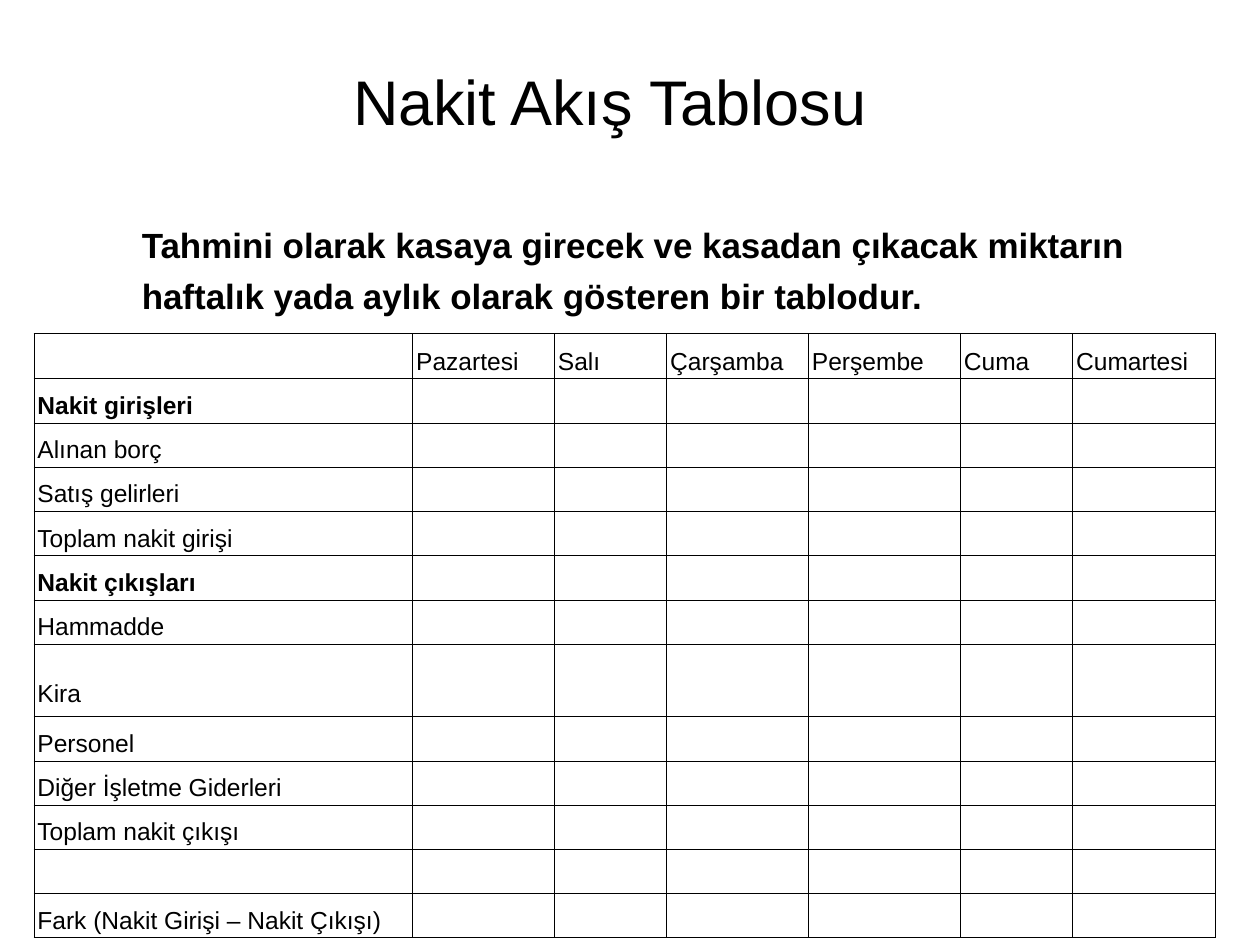
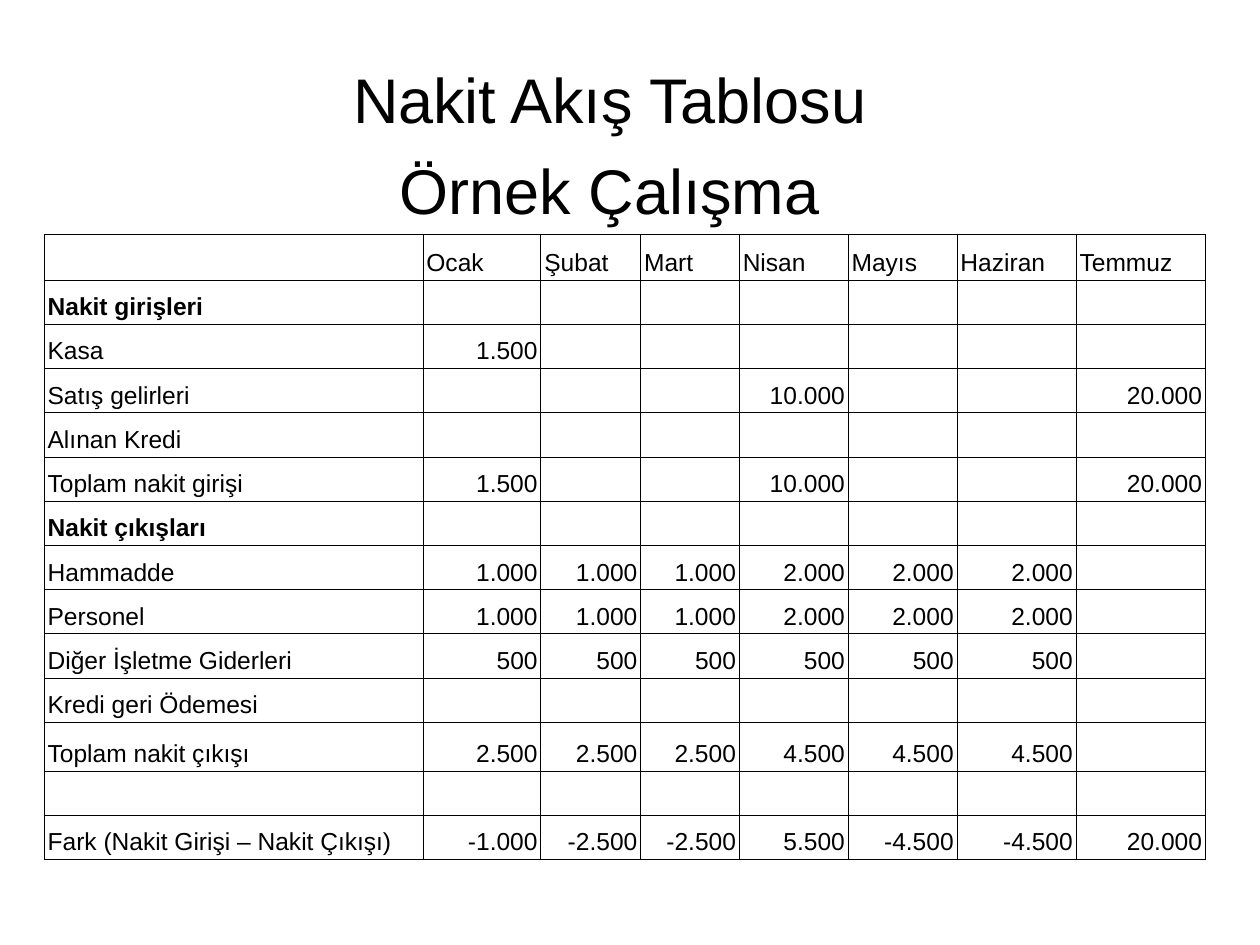
from lxml.etree import SubElement
from pptx import Presentation
from pptx.dml.color import RGBColor
from pptx.enum.text import MSO_ANCHOR as Anchor, PP_ALIGN as Align
from pptx.oxml.ns import qn
from pptx.util import Emu, Pt

INK = "000000"
FACE = "Arial"
PX = 9144
HEADS = ("Nakit girişleri", "Nakit çıkışları")


def px(*nums):
    return [Emu(n * PX) for n in nums]


def style(box, frame, size, bold=False, align=Align.LEFT, pad=4):
    box.margin_left, box.margin_top, box.margin_right, box.margin_bottom = px(*[pad] * 4)
    for para in frame.paragraphs:
        para.alignment = align
        for run in para.runs:
            para.line_spacing = 1.2
            run.font.name = FACE
            run.font.size = Pt(size)
            run.font.bold = bold
            run.font.color.rgb = RGBColor.from_string(INK)


week = [
    "|Pazartesi|Salı|Çarşamba|Perşembe|Cuma|Cumartesi",
    "Nakit girişleri",
    "Alınan borç",
    "Satış gelirleri",
    "Toplam nakit girişi",
    "Nakit çıkışları",
    "Hammadde",
    "Kira",
    "Personel",
    "Diğer İşletme Giderleri",
    "Toplam nakit çıkışı",
    "",
    "Fark (Nakit Girişi – Nakit Çıkışı)",
]
months = [
    "|Ocak|Şubat|Mart|Nisan|Mayıs|Haziran|Temmuz",
    "Nakit girişleri",
    "Kasa|1.500",
    "Satış gelirleri||||10.000|||20.000",
    "Alınan Kredi",
    "Toplam nakit girişi|1.500|||10.000|||20.000",
    "Nakit çıkışları",
    "Hammadde|1.000|1.000|1.000|2.000|2.000|2.000",
    "Personel|1.000|1.000|1.000|2.000|2.000|2.000",
    "Diğer İşletme Giderleri|500|500|500|500|500|500",
    "Kredi geri Ödemesi",
    "Toplam nakit çıkışı|2.500|2.500|2.500|4.500|4.500|4.500",
    "",
    "Fark (Nakit Girişi – Nakit Çıkışı)|-1.000|-2.500|-2.500|5.500|-4.500|-4.500|20.000",
]
pages = [
    dict(title="Nakit Akış Tablosu", tall=85, left=30, top=294, rows=week,
         cols=[334, 125, 99, 125, 134, 99, 126], high={0: 40, 7: 64},
         note="Tahmini olarak kasaya girecek ve kasadan çıkacak miktarın "
              "haftalık yada aylık olarak gösteren bir tablodur."),
    dict(title="Nakit Akış Tablosu\vÖrnek Çalışma", tall=162, left=39, top=207, rows=months,
         cols=[334, 104, 88, 87, 96, 96, 105, 114], high={0: 40, 11: 43}, note=None),
]

prs = Presentation()
prs.slide_width, prs.slide_height = px(1111, 833)

for page in pages:
    slide = prs.slides.add_slide(prs.slide_layouts[5])
    title = slide.shapes.title
    title.left, title.top, title.width, title.height = px(67, 39, 941, page["tall"])
    frame = title.text_frame
    frame.text = page["title"]
    frame.vertical_anchor = Anchor.MIDDLE
    style(frame, frame, 40, align=Align.CENTER)

    if page["note"]:
        frame = slide.shapes.add_textbox(*px(121, 186, 878, 82)).text_frame
        frame.text = page["note"]
        frame.word_wrap = True
        style(frame, frame, 22.2, bold=True)

    rows, cols = page["rows"], page["cols"]
    highs = [page["high"].get(r, 39) for r in range(len(rows))]
    area = px(page["left"], page["top"], sum(cols), sum(highs))
    table = slide.shapes.add_table(len(rows), len(cols), *area).table
    table.first_row = table.horz_banding = False
    for col, wide in zip(table.columns, px(*cols)):
        col.width = wide
    for r, line in enumerate(rows):
        table.rows[r].height = Emu(highs[r] * PX)
        words = line.split("|")
        for c in range(len(cols)):
            cell = table.cell(r, c)
            cell.text_frame.text = words[c] if c < len(words) else ""
            align = Align.RIGHT if r and c else Align.LEFT
            style(cell, cell.text_frame, 15.6, words[0] in HEADS, align, pad=3)
            cell.vertical_anchor = Anchor.BOTTOM
            if words[0] == "Kira":
                cell.margin_bottom = Emu(8 * PX)
            props = cell._tc.get_or_add_tcPr()
            for side in ("a:lnL", "a:lnR", "a:lnT", "a:lnB"):
                edge = SubElement(props, qn(side), w=str(Pt(0.75)))
                fill = SubElement(edge, qn("a:solidFill"))
                SubElement(fill, qn("a:srgbClr"), val=INK)
            cell.fill.background()

prs.save("out.pptx")
